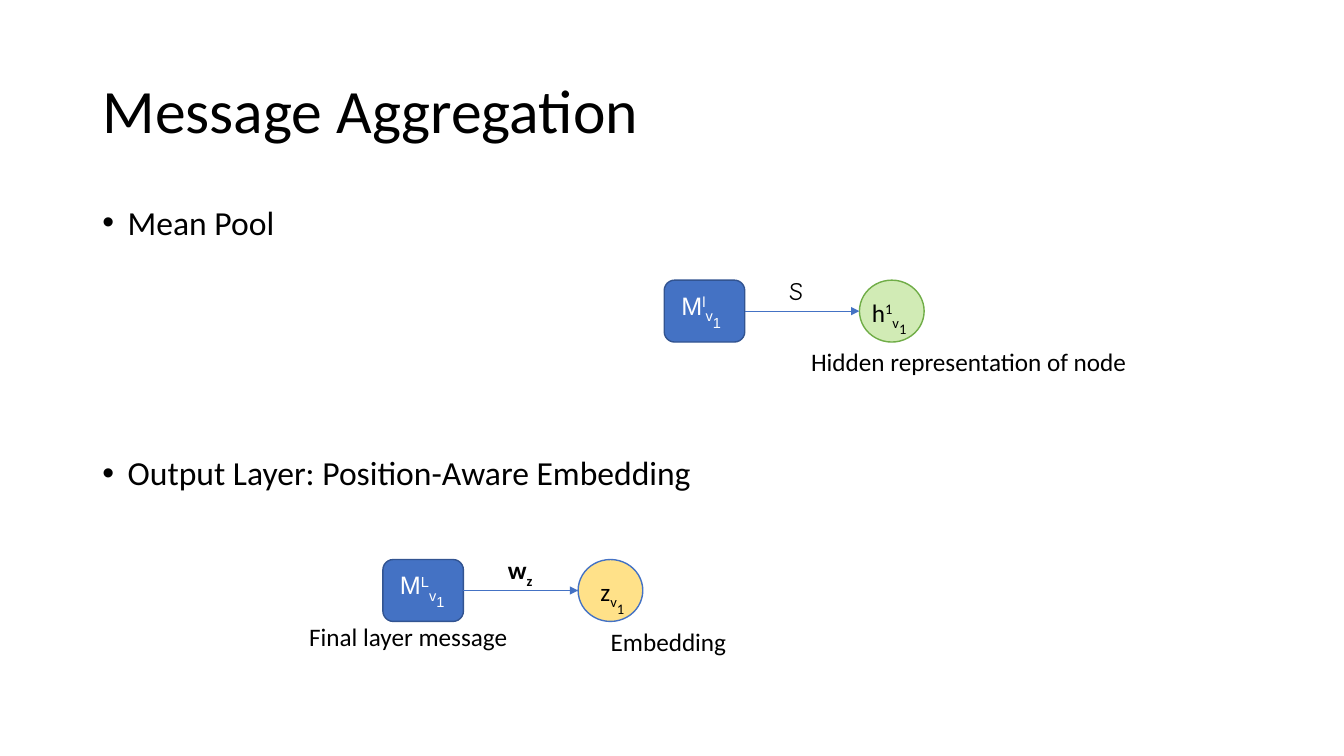
import pptx
import pptx.util
import pptx.dml.color
import pptx.enum.shapes
import pptx.enum.text
from lxml import etree
from pptx.oxml.ns import qn

Cm, Pt = pptx.util.Cm, pptx.util.Pt
SHAPE = pptx.enum.shapes.MSO_SHAPE
COLORS = {"text": "000000", "light": "FFFFFF", "blue": "4472C4", "blue_edge": "325491",
          "green": "92D050", "green_edge": "70AD47", "yellow": "FFD966"}
SUB, LOWER, SUPER = -25, -50, 30


def rgb(name):
    """Return the named colour."""
    return pptx.dml.color.RGBColor.from_string(COLORS[name])


def style(font, size, font_name="Calibri", color="text", bold=False):
    """Set size, typeface, colour and weight of a font."""
    font.size, font.name, font.bold = Pt(size), font_name, bold
    font.color.rgb = rgb(color)


def add_label(shapes, x, y, w, parts, **look):
    """Add a one-line label from (text, baseline percent) parts."""
    box = shapes.add_textbox(Cm(x), Cm(y), Cm(w), Cm(1.02))
    tf = box.text_frame
    tf.word_wrap = True
    tf.auto_size = pptx.enum.text.MSO_AUTO_SIZE.SHAPE_TO_FIT_TEXT
    for text, baseline in parts:
        r = tf.paragraphs[0].add_run()
        r.text = text
        style(r.font, 18, **look)
        if baseline:
            r._r.get_or_add_rPr().set("baseline", str(baseline * 1000))


def add_node(shapes, kind, x, y, w, h, fill, edge, opacity=100):
    """Add a filled and outlined node."""
    sp = shapes.add_shape(kind, Cm(x), Cm(y), Cm(w), Cm(h))
    sp.shadow.inherit = False
    sp.fill.solid()
    sp.fill.fore_color.rgb = rgb(fill)
    sp.line.color.rgb = rgb(edge)
    sp.line.width = Pt(1)
    if opacity < 100:
        color = sp._element.spPr.find(qn("a:solidFill"))[0]
        etree.SubElement(color, qn("a:alpha")).set("val", str(opacity * 1000))
    return sp


def add_arrow(shapes, source, x1, x2, y):
    """Add a level arrow that starts at the right side of the source."""
    line = shapes.add_connector(pptx.enum.shapes.MSO_CONNECTOR.STRAIGHT,
                                Cm(x1), Cm(y), Cm(x2), Cm(y))
    line.begin_connect(source, 3)
    line.line.color.rgb = rgb("blue")
    line.line.width = Pt(0.5)
    etree.SubElement(line.line._get_or_add_ln(), qn("a:tailEnd")).set("type", "triangle")
    etree.SubElement(line._element.spPr, qn("a:effectLst"))


def add_step(s, x, y, layer, operator, operator_look, result, result_dx, colors, opacity):
    """Draw message, operator arrow and result with the message corner at x, y."""
    shapes = s.shapes.add_group_shape().shapes
    message_w, result_x, h = 2.03, x + 4.92, 1.56
    message = add_node(shapes, SHAPE.ROUNDED_RECTANGLE, x, y, message_w, h, "blue", "blue_edge")
    add_label(shapes, x + 0.18, y + 0.13, 1.88,
              [("M", 0), (layer, SUPER), ("v", SUB), ("1", LOWER)],
              font_name="Arial", color="light")
    add_node(shapes, SHAPE.OVAL, result_x, y, 1.63, h, *colors, opacity)
    add_label(shapes, result_x + result_dx, y + 0.3, 1.63, result + [("v", SUB), ("1", LOWER)])
    add_arrow(shapes, message, x + message_w, result_x, y + h / 2)
    add_label(shapes, x + 2.9, y - 0.25, 1.4, operator, **operator_look)


def add_title(s, x, y, w, h, text):
    """Place and format the slide title."""
    title = s.shapes.title
    title.left, title.top, title.width, title.height = Cm(x), Cm(y), Cm(w), Cm(h)
    tf = title.text_frame
    tf.text = text
    tf.vertical_anchor = pptx.enum.text.MSO_ANCHOR.MIDDLE
    p = tf.paragraphs[0]
    p.alignment = pptx.enum.text.PP_ALIGN.LEFT
    p.line_spacing = 0.9
    style(p.runs[0].font, 44)


def add_bullets(s, x, y, w, h, items, gap):
    """Add bulleted topics with room for a diagram between them."""
    tf = s.shapes.add_textbox(Cm(x), Cm(y), Cm(w), Cm(h)).text_frame
    tf.word_wrap = True
    for i, item in enumerate(items):
        p = tf.add_paragraph() if i else tf.paragraphs[0]
        p.text = item
        p.line_spacing = 0.9
        p.space_before = Pt(gap if i else 0)
        pPr = p._p.get_or_add_pPr()
        pPr.set("marL", str(Cm(0.64)))
        pPr.set("indent", str(-Cm(0.64)))
        etree.SubElement(pPr, qn("a:buFont")).set("typeface", "Arial")
        etree.SubElement(pPr, qn("a:buChar")).set("char", "•")
        style(p.runs[0].font, 24)


def main():
    """Build and save the slide."""
    prs = pptx.Presentation()
    prs.slide_width, prs.slide_height = Cm(33.87), Cm(19.05)
    s = prs.slides.add_slide(prs.slide_layouts[5])
    add_title(s, 2.33, 1.01, 29.21, 3.68, "Message Aggregation")
    add_bullets(s, 2.33, 5.07, 29.21, 13.2,
                ["Mean Pool", "Output Layer: Position-Aware Embedding"], 153)
    add_step(s, 16.74, 7.06, "l", [("S", 0)], {"font_name": "Comic Neue"},
             [("h", 0), ("1", SUPER)], 0.06, ("green", "green_edge"), 42)
    add_step(s, 9.65, 14.1, "L", [("w", 0), ("z", SUB)], {"bold": True},
             [("z", 0)], 0.31, ("yellow", "blue"), 77)
    for x, y, w, caption in [(20.19, 8.61, 9.47, "Hidden representation of node"),
                             (7.54, 15.52, 6.43, "Final layer message"),
                             (15.14, 15.65, 4.24, "Embedding")]:
        add_label(s.shapes, x, y, w, [(caption, 0)])
    prs.save("out.pptx")


if __name__ == "__main__":
    main()
